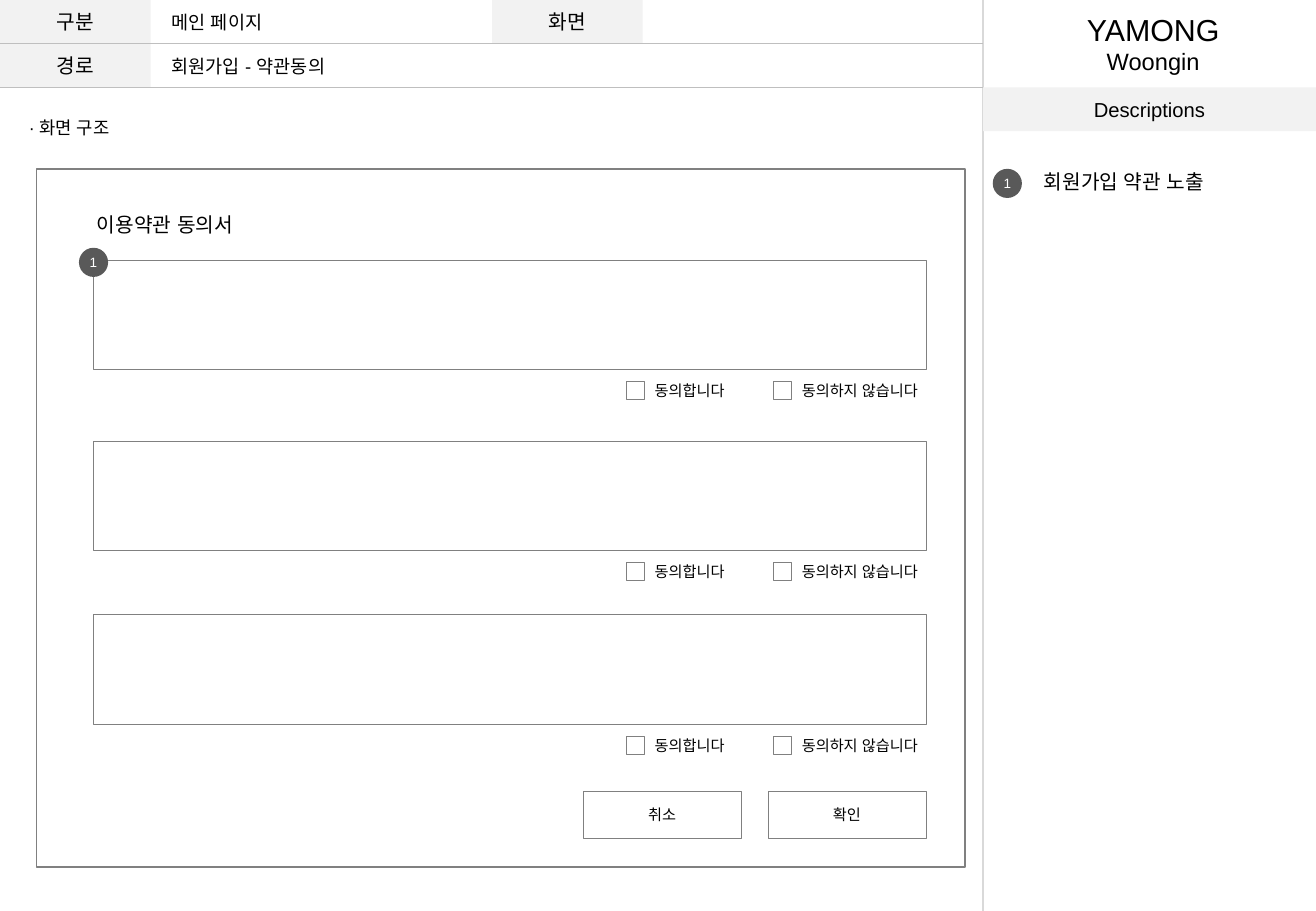
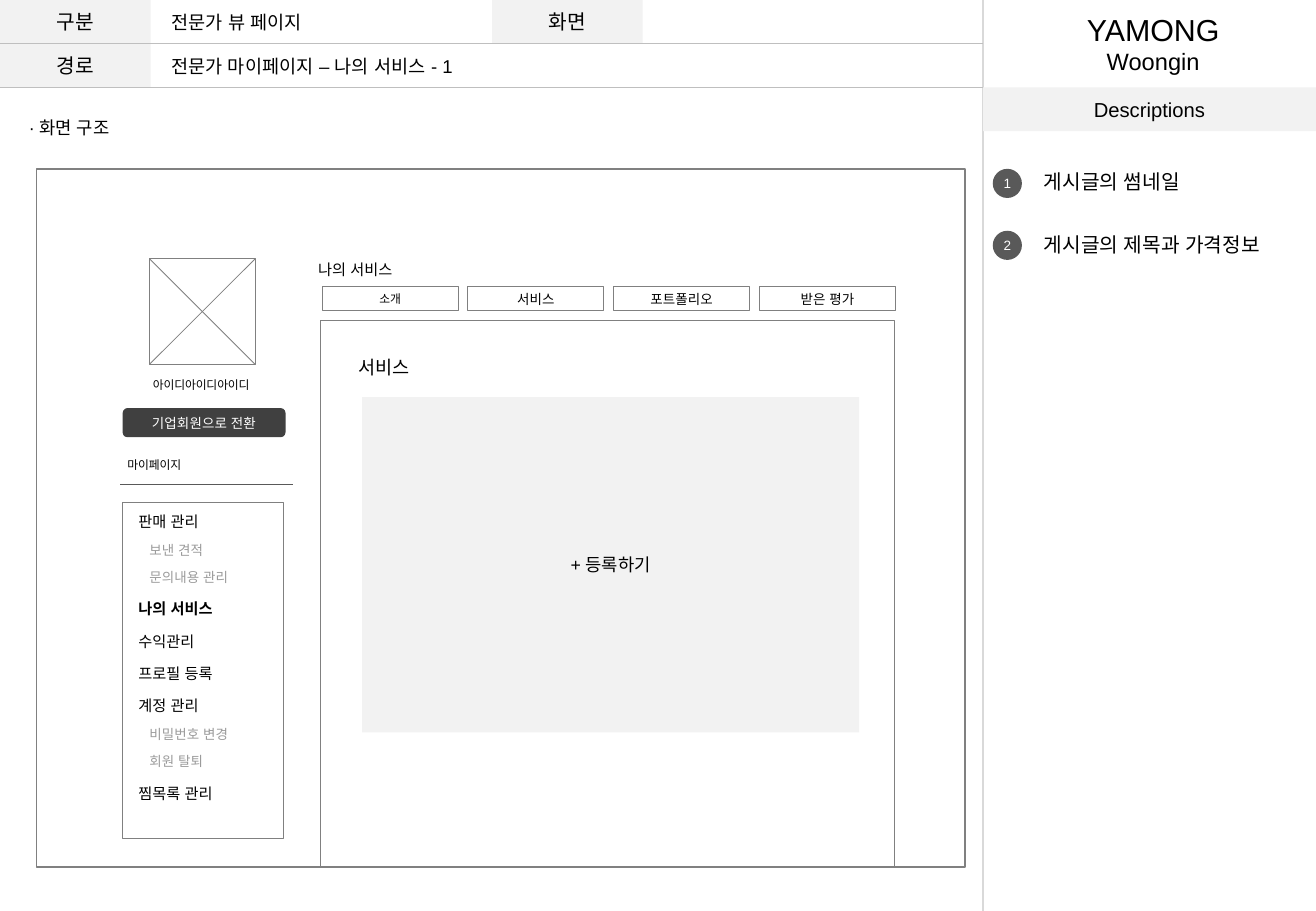
from lxml import etree
from pptx import Presentation
from pptx.dml.color import RGBColor
from pptx.enum.shapes import MSO_CONNECTOR, MSO_SHAPE
from pptx.enum.text import MSO_ANCHOR, MSO_AUTO_SIZE, PP_ALIGN
from pptx.oxml.ns import qn
from pptx.util import Emu, Pt

RECT, ROUNDED, OVAL = MSO_SHAPE.RECTANGLE, MSO_SHAPE.ROUNDED_RECTANGLE, MSO_SHAPE.OVAL
STRAIGHT = MSO_CONNECTOR.STRAIGHT
LEFT, CENTER = PP_ALIGN.LEFT, PP_ALIGN.CENTER
TOP, MIDDLE = MSO_ANCHOR.TOP, MSO_ANCHOR.MIDDLE
NO_AUTOFIT = MSO_AUTO_SIZE.NONE

EMU_PER_PX = 9144
PT_PER_PX = 0.72
LINE_HEIGHT = 1.15
FONT = "Arial"
COLORS = {
    "text": "000000",
    "inverse": "FFFFFF",
    "muted": "9B9B9B",
    "panel": "F2F2F2",
    "divider": "D9D9D9",
    "rule": "BFBFBF",
    "outline": "808080",
    "badge": "595959",
    "button": "404040",
}

SLIDE_W, SLIDE_H = 1083, 750
MAIN_W, ROW_H, HEADING_W = 809, 36, 124
DESCRIPTION_PITCH = 51


def px(value):
    return Emu(value * EMU_PER_PX)


def box(x, y, width, height):
    return px(x), px(y), px(width), px(height)


def color(name):
    return RGBColor.from_string(COLORS[name])


def write(paragraph, text, size=12, ink="text", bold=False, align=LEFT,
          space_before=0, indent=0):
    """Fill a paragraph with one unbulleted run; indent is in px."""
    properties = paragraph._p.get_or_add_pPr()
    properties.set("marL", str(px(indent)))
    properties.set("indent", "0")
    etree.SubElement(properties, qn("a:buNone"))
    paragraph.alignment = align
    paragraph.space_before = Pt(space_before)
    run = paragraph.add_run()
    run.text = text
    run.font.size = Pt(size)
    run.font.bold = bold
    run.font.color.rgb = color(ink)
    run.font.name = FONT
    east_asian = etree.SubElement(run._r.get_or_add_rPr(), qn("a:ea"))
    east_asian.set("typeface", FONT)


def write_lines(frame, lines):
    """Write (text, format) pairs, one paragraph each, from the top of a frame."""
    frame.word_wrap = True
    frame.auto_size = NO_AUTOFIT
    frame.vertical_anchor = TOP
    for index, (text, style) in enumerate(lines):
        paragraph = frame.add_paragraph() if index else frame.paragraphs[0]
        write(paragraph, text, **style)


class Storyboard:
    """Holds the deck and the slide now being drawn."""

    def __init__(self):
        self.deck = Presentation()
        self.deck.slide_width, self.deck.slide_height = px(SLIDE_W), px(SLIDE_H)
        self.slide = None

    def shape(self, area, kind=RECT, fill=None, line=None, weight=0.5, text="", **style):
        shape = self.slide.shapes.add_shape(kind, *box(*area))
        shape.shadow.inherit = False
        if fill:
            shape.fill.solid()
            shape.fill.fore_color.rgb = color(fill)
        else:
            shape.fill.background()
        if line:
            shape.line.color.rgb = color(line)
            shape.line.width = Pt(weight)
        else:
            shape.line.fill.background()
        if text:
            frame = shape.text_frame
            frame.margin_left = frame.margin_right = 0
            frame.margin_top = frame.margin_bottom = 0
            frame.vertical_anchor = MIDDLE
            write(frame.paragraphs[0], text, align=CENTER, **style)
        return shape

    def line(self, start, end, ink, weight=0.75):
        line = self.slide.shapes.add_connector(
            STRAIGHT, px(start[0]), px(start[1]), px(end[0]), px(end[1]))
        line.line.color.rgb = color(ink)
        line.line.width = Pt(weight)
        etree.SubElement(line._element.spPr, qn("a:effectLst"))
        return line

    def text(self, area, *lines):
        write_lines(self.slide.shapes.add_textbox(*box(*area)).text_frame, lines)

    def label(self, x, y, width, text, height=25, **style):
        self.text((x, y, width, height), (text, style))

    def badge(self, x, y, number):
        self.shape((x, y, 24, 24), OVAL, fill="badge",
                   text=str(number), size=8, ink="inverse")

    def placeholder(self, holder, area, lines):
        holder.left, holder.top, holder.width, holder.height = box(*area)
        write_lines(holder.text_frame, lines)

    def image_slot(self, x, y, side):
        """Draw a crossed square that stands for an image."""
        right, bottom = x + side, y + side
        parts = [
            self.shape((x, y, side, side), line="outline"),
            self.line((x, bottom), (right, y), "outline", 0.5),
            self.line((right, bottom), (x, y), "outline", 0.5),
        ]
        self.slide.shapes.add_group_shape(parts)

    def start_page(self, title, route, descriptions):
        """Add a slide with the header, side panel and screen frame."""
        self.slide = self.deck.slides.add_slide(self.deck.slide_layouts[1])
        self.placeholder(self.slide.shapes.title, (131, 4, 270, 29),
                         [(title, {"size": 11})])
        for x, y, heading in ((0, 0, "구분"), (405, 0, "화면"), (0, ROW_H, "경로")):
            self.shape((x, y, HEADING_W, ROW_H), fill="panel", text=heading)
        self.label(131, 40, 400, route, size=11)
        self.line((MAIN_W, 0), (MAIN_W, SLIDE_H), "divider")
        for row in (1, 2):
            self.line((0, row * ROW_H), (MAIN_W, row * ROW_H), "rule")
        self.text((873, 4, 152, 64),
                  ("YAMONG", {"size": 18, "align": CENTER}),
                  ("Woongin", {"size": 14, "align": CENTER}))
        self.shape((MAIN_W, 2 * ROW_H, SLIDE_W - MAIN_W, ROW_H),
                   fill="panel", text="Descriptions")
        self.label(14, 91, 110, "· 화면 구조", size=10.5)
        self.shape((30, 139, 764, 575), line="outline", weight=1)
        self.describe(descriptions)

    def describe(self, descriptions):
        gap = DESCRIPTION_PITCH * PT_PER_PX - 12 * LINE_HEIGHT
        lines = []
        for index, description in enumerate(descriptions):
            self.badge(817, 139 + index * DESCRIPTION_PITCH, index + 1)
            lines.append((description, {"space_before": gap if index else 0}))
        height = 30 + (len(lines) - 1) * DESCRIPTION_PITCH
        self.placeholder(self.slide.placeholders[1], (849, 134, 230, height), lines)


def draw_terms_page(board):
    board.start_page("메인 페이지", "회원가입 - 약관동의", ["회원가입 약관 노출"])
    board.label(70, 170, 180, "이용약관 동의서", height=30)
    for terms_top in (214, 363, 506):
        board.shape((77, terms_top, 685, 90), line="outline", weight=0.25)
        choice_top = terms_top + 100
        for x, choice in ((515, "동의합니다"), (636, "동의하지 않습니다")):
            board.shape((x, choice_top, 15, 15), line="outline", weight=0.25)
            board.label(x + 14, choice_top - 5, 130, choice, size=9)
    for x, action in ((480, "취소"), (632, "확인")):
        board.shape((x, 651, 130, 39), line="outline", weight=0.25, text=action, size=9)
    board.badge(65, 204, 1)


def draw_account_menu(board):
    board.image_slot(123, 213, 87)
    board.label(116, 306, 133, "아이디아이디아이디", size=7)
    board.shape((101, 336, 134, 24), ROUNDED, fill="button",
                text="기업회원으로 전환", size=8, ink="inverse")
    board.label(95, 372, 90, "마이페이지", size=7)
    board.line((99, 399), (241, 399), "badge")
    board.shape((101, 414, 132, 276), line="outline")
    entry = {"size": 9, "space_before": 8.4}
    sub_entry = {"size": 8, "ink": "muted", "space_before": 6.6, "indent": 9}
    board.text(
        (104, 417, 128, 250),
        ("판매 관리", {"size": 9}),
        ("보낸 견적", sub_entry),
        ("문의내용 관리", sub_entry),
        ("나의 서비스", {**entry, "bold": True}),
        ("수익관리", entry),
        ("프로필 등록", entry),
        ("계정 관리", entry),
        ("비밀번호 변경", sub_entry),
        ("회원 탈퇴", sub_entry),
        ("찜목록 관리", entry),
    )


def draw_service_page(board):
    board.start_page("전문가 뷰 페이지", "전문가 마이페이지 – 나의 서비스 - 1",
                     ["게시글의 썸네일", "게시글의 제목과 가격정보"])
    draw_account_menu(board)
    board.label(252, 209, 110, "나의 서비스", size=9)
    tabs = (("소개", 7), ("서비스", 8), ("포트폴리오", 8), ("받은 평가", 8))
    for index, (tab, size) in enumerate(tabs):
        board.shape((265 + index * 120, 236, 112, 20), line="outline",
                    text=tab, size=size)
    board.shape((264, 264, 472, 450), line="outline")
    board.label(285, 288, 90, "서비스", size=11)
    board.shape((298, 327, 409, 276), fill="panel", text="+ 등록하기", size=10.5)


def main():
    board = Storyboard()
    draw_terms_page(board)
    draw_service_page(board)
    board.deck.save("out.pptx")


if __name__ == "__main__":
    main()
